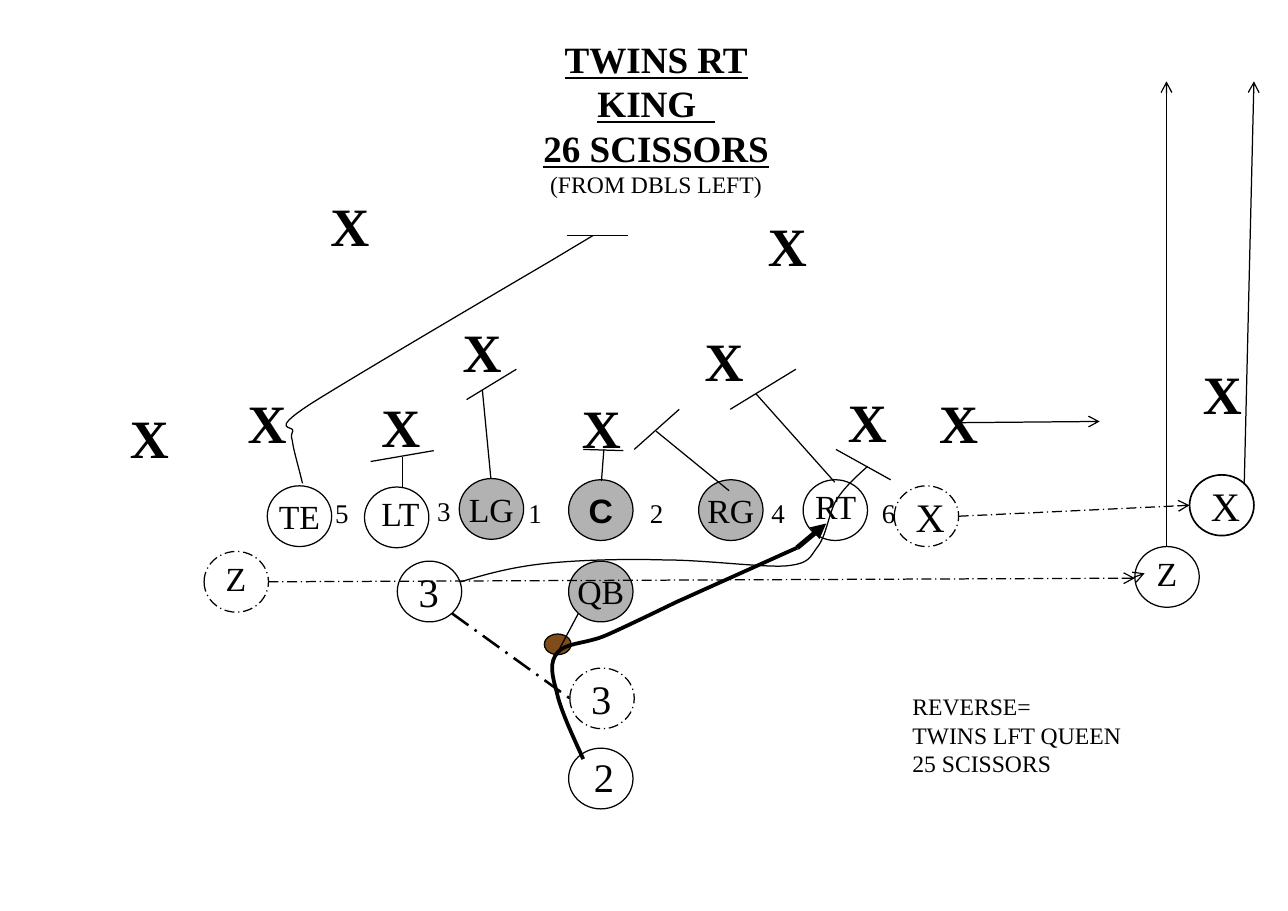
"""Build a football play diagram: TWINS RT KING 26 SCISSORS."""
from dataclasses import dataclass

from lxml import etree
from pptx import Presentation
from pptx import util as u
from pptx.dml.color import RGBColor
from pptx.enum import dml, shapes, text
from pptx.oxml import ns


@dataclass(frozen=True)
class Theme:
    font: str = "Times New Roman"
    center_font: str = "Arial"
    ink: str = "000000"
    open: str = "FFFFFF"
    shaded: str = "B2B2B2"
    ball: str = "804C19"
    title: int = 22
    note: int = 14
    gap: int = 16
    label: int = 20
    back: int = 24
    defender: int = 32
    thin: float = 0.75
    medium: float = 1
    motion: float = 1.5
    run: float = 2.25
    burst: float = 3


T = Theme()
SLIDE = (10.6, 7.5)
PLAYER = (0.53, 0.5)
BALL = (4.48, 5.22, 0.22, 0.17)

TITLE = (["TWINS RT", "KING  ", "26 SCISSORS"], "(FROM DBLS LEFT)")
REVERSE = ["REVERSE=", "TWINS LFT QUEEN", "25 SCISSORS"]

# label, left, top, fill, size, centred
LINEMEN = [
    ("C", 4.68, 3.95, T.shaded, T.label, True),
    ("RG", 5.75, 3.95, T.shaded, T.label, True),
    ("LG", 3.78, 3.94, T.shaded, T.label, True),
    ("QB", 4.68, 4.62, T.shaded, T.label, True),
    ("TE", 2.2, 4, T.open, T.label, True),
    ("3", 3.27, 4.62, T.open, T.back, False),
    ("X", 9.79, 3.91, T.open, T.back, False),
]
BEFORE_MOTION = [
    ("X", 7.36, 4, T.open, T.back, False),
    ("3", 4.69, 5.5, T.open, T.back, False),
    ("", 1.68, 4.54, T.open, T.label, False),
]
OPEN_CIRCLES = [(4.68, 6.16), (6.61, 3.95), (3, 4.01), (9.34, 4.5)]

# label, left, top, width, height, size
LOOSE_LABELS = [
    ("2", 4.79, 6.14, 0.36, 0.5, T.back),
    ("LT", 3.04, 4.01, 0.54, 0.44, T.label),
    ("RT", 6.61, 3.95, 0.55, 0.44, T.label),
    ("Z", 1.76, 4.54, 0.37, 0.44, T.label),
    ("Z", 9.42, 4.5, 0.37, 0.44, T.label),
]
DEFENDERS = [(4.69, 3.2), (3.04, 3.19), (6.88, 3.15), (3.71, 2.57), (1.94, 3.16), (5.7, 2.65),
             (7.63, 3.16), (0.97, 3.28), (9.8, 2.92), (2.62, 1.54), (6.22, 1.7)]
GAPS = [("5", 2.66, 4.04), ("3", 3.5, 4.02), ("1", 4.25, 4.04),
        ("2", 5.25, 4.04), ("4", 6.25, 4.04), ("6", 7.16, 4.04)]

BLOCKS = [
    (4.95, 3.96, 4.97, 3.7), (4.8, 3.7, 5.13, 3.71),
    (6, 4.04, 5.4, 3.55), (5.22, 3.7, 5.59, 3.37),
    (6.22, 3.24, 6.87, 3.97), (6.01, 3.37, 6.55, 3.04),
    (4.04, 3.94, 3.97, 3.21), (3.84, 3.29, 4.25, 3.04),
    (3.31, 4.01, 3.31, 3.76), (3.05, 3.8, 3.57, 3.71),
    (6.88, 3.7, 7.33, 3.95), (4.67, 1.94, 5.17, 1.94),
    (4.76, 5.05, 4.59, 5.37),
]
ROUTES = [(7.89, 3.48, 9.05, 3.47), (9.34, 4.75, 9.42, 4.72),
          (10.24, 3.99, 10.32, 0.67), (9.6, 4.5, 9.6, 0.67)]
SHIFTS = [(7.89, 4.25, 9.79, 4.16), (2.21, 4.79, 9.34, 4.76)]
BACK_SHIFT = (3.72, 5.05, 4.69, 5.75)
BURST = (6.56, 4.51, 6.8, 4.31)

# left, top, width, height; then the start, cubic segments, straight finish, line width
LEAD_BLOCK = ((3.79, 3.84, 3.35, 0.95), (3.79, 4.79), [
    ((3.99, 4.73), (4.2, 4.67), (4.48, 4.64)), ((4.76, 4.61), (5.14, 4.6), (5.47, 4.61)),
    ((5.8, 4.61), (6.25, 4.67), (6.46, 4.66)), ((6.67, 4.64), (6.66, 4.59), (6.73, 4.5)),
    ((6.8, 4.41), (6.82, 4.23), (6.88, 4.12)), ((6.95, 4.01), (7.05, 3.92), (7.14, 3.84)),
], [], T.thin)
BALL_CARRIER = ((4.54, 4.51, 2.02, 1.74), (4.8, 6.25), [
    ((4.71, 6.05), (4.61, 5.84), (4.58, 5.69)), ((4.54, 5.55), (4.52, 5.45), (4.59, 5.37)),
    ((4.66, 5.29), (4.83, 5.3), (4.99, 5.23)), ((5.15, 5.16), (5.56, 4.96), (5.56, 4.96)),
], [(6.56, 4.51)], T.run)
TIGHT_END = ((2.36, 1.94, 2.53, 2.03), (2.49, 3.98), [
    ((2.46, 3.85), (2.42, 3.72), (2.41, 3.65)), ((2.4, 3.58), (2.39, 3.61), (2.41, 3.55)),
    ((2.43, 3.5), (2.2, 3.56), (2.55, 3.33)), ((2.91, 3.1), (4.53, 2.15), (4.53, 2.15)),
], [(4.88, 1.94)], T.thin)
BACK_MARKS = [(3.25, 4.79), (4.68, 5.67)]


def inch(value):
    return u.Cm(value * 2.54)


def color(value):
    return RGBColor.from_string(value)


def add_line_text(para, words, size, bold=False, underline=False, font=T.font):
    span = para.add_run()
    span.text = words
    span.font.name, span.font.size = font, u.Pt(size)
    span.font.bold, span.font.underline = bold, underline
    span.font.color.rgb = color(T.ink)


def style_line(shape, width, dashed=False, head=None):
    shape.line.color.rgb = color(T.ink)
    shape.line.width = u.Pt(width)
    if dashed:
        shape.line.dash_style = dml.MSO_LINE.LONG_DASH_DOT
    if head:
        outline = shape._element.spPr.find(ns.qn("a:ln"))
        etree.SubElement(outline, ns.qn("a:tailEnd"), type=head)


def add_circle(page, left, top, size=PLAYER, fill=T.open, width=T.thin, dashed=False):
    circle = page.shapes.add_shape(shapes.MSO_SHAPE.OVAL, *map(inch, (left, top, *size)))
    circle.shadow.inherit = False
    circle.fill.solid()
    circle.fill.fore_color.rgb = color(fill)
    style_line(circle, width, dashed)
    return circle


def add_player(page, label, left, top, fill, size, centred, dashed=False):
    width = T.medium if (label, dashed) == ("X", False) else T.thin
    circle = add_circle(page, left, top, fill=fill, width=width, dashed=dashed)
    if not label:
        return
    frame = circle.text_frame
    frame.word_wrap = False
    frame.vertical_anchor = text.MSO_ANCHOR.MIDDLE
    para = frame.paragraphs[0]
    para.alignment = text.PP_ALIGN.CENTER if centred else text.PP_ALIGN.LEFT
    center = label == "C"
    add_line_text(para, label, size, center, font=T.center_font if center else T.font)


def add_box(page, left, top, width, height, lines, wrap=False, grow=True,
            align=text.PP_ALIGN.LEFT):
    frame = page.shapes.add_textbox(*map(inch, (left, top, width, height))).text_frame
    frame.word_wrap = wrap
    frame.auto_size = text.MSO_AUTO_SIZE.SHAPE_TO_FIT_TEXT if grow else text.MSO_AUTO_SIZE.NONE
    for index, line in enumerate(lines):
        para = frame.add_paragraph() if index else frame.paragraphs[0]
        para.alignment = align
        add_line_text(para, *line)


def add_line(page, ends, width=T.thin, dashed=False, head=None):
    line = page.shapes.add_connector(shapes.MSO_CONNECTOR.STRAIGHT, *map(inch, ends))
    style_line(line, width, dashed, head)
    etree.SubElement(line._element.spPr, ns.qn("a:effectLst"))


def add_curve(page, box, start, segments, finish, width, head=None):
    left, top, wide, high = box
    builder = page.shapes.build_freeform(inch(left), inch(top))
    builder.add_line_segments([(inch(left + wide), inch(top + high))], close=False)
    curve = builder.convert_to_shape()
    outline = next(curve._element.iter(ns.qn("a:path")))
    for child in list(outline):
        outline.remove(child)
    steps = [("a:moveTo", [start])] + [("a:cubicBezTo", points) for points in segments]
    for tag, points in steps + [("a:lnTo", [point]) for point in finish]:
        step = etree.SubElement(outline, ns.qn(tag))
        for x, y in points:
            etree.SubElement(step, ns.qn("a:pt"), x=str(inch(x - left)), y=str(inch(y - top)))
    curve.shadow.inherit = False
    curve.fill.background()
    style_line(curve, width, head=head)


def main():
    deck = Presentation()
    deck.slide_width, deck.slide_height = map(inch, SLIDE)
    page = deck.slides.add_slide(deck.slide_layouts[6])
    for left, top in OPEN_CIRCLES:
        add_circle(page, left, top)
    for dashed, players in ((False, LINEMEN), (True, BEFORE_MOTION)):
        for player in players:
            add_player(page, *player, dashed=dashed)
    add_circle(page, *BALL[:2], BALL[2:], T.ball)

    heading, origin = TITLE
    add_box(page, 3, 0.25, 4.8, 1.67,
            [(line, T.title, True, True) for line in heading] + [(origin, T.note)],
            wrap=True, align=text.PP_ALIGN.CENTER)
    add_box(page, 7.41, 5.65, 1.92, 0.8, [(line, T.note) for line in REVERSE], wrap=True)
    for *place, size in LOOSE_LABELS:
        add_box(page, *place[1:], [(place[0], size)])
    for left, top in DEFENDERS:
        add_box(page, left, top, 0.52, 0.64, [("X", T.defender, True)])
    for label, left, top in GAPS:
        add_box(page, left, top, 0.34, 0.43, [(label, T.gap)], grow=False)

    for curve in (LEAD_BLOCK, BALL_CARRIER, TIGHT_END):
        add_curve(page, *curve)
    for mark in BACK_MARKS:
        add_curve(page, (*mark, 0, 0), mark, [], [mark], T.thin, head="triangle")
    for ends in BLOCKS:
        add_line(page, ends)
    for ends in ROUTES:
        add_line(page, ends, head="arrow")
    for ends in SHIFTS:
        add_line(page, ends, dashed=True, head="arrow")
    add_line(page, BACK_SHIFT, T.motion, dashed=True)
    add_line(page, BURST, T.burst, head="triangle")
    deck.save("out.pptx")


if __name__ == "__main__":
    main()
